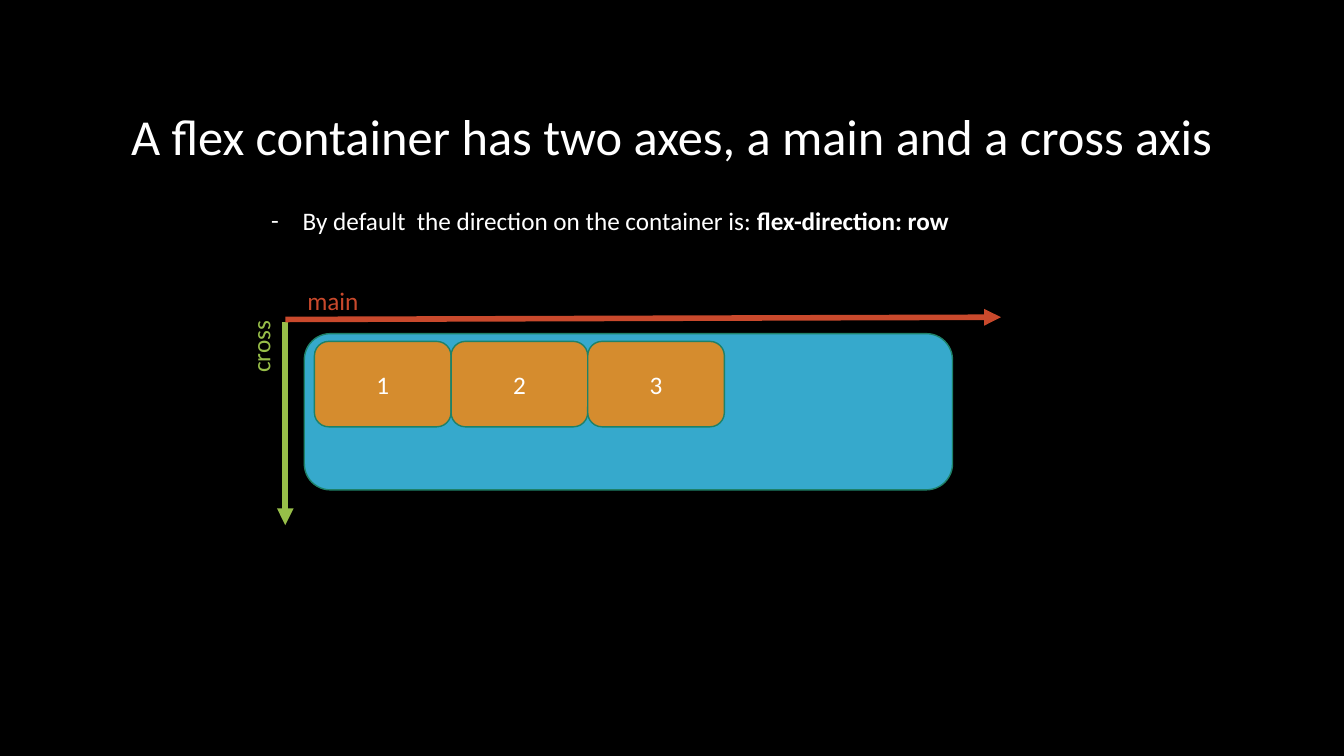
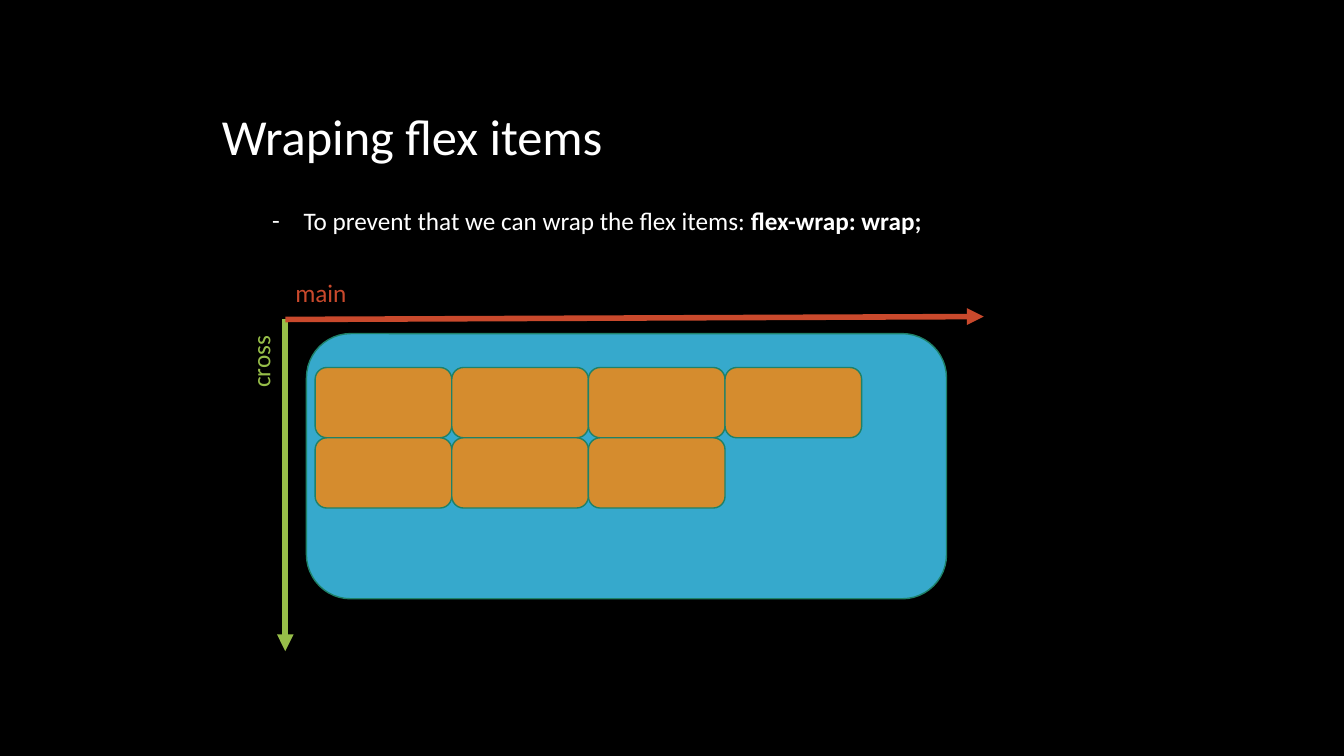
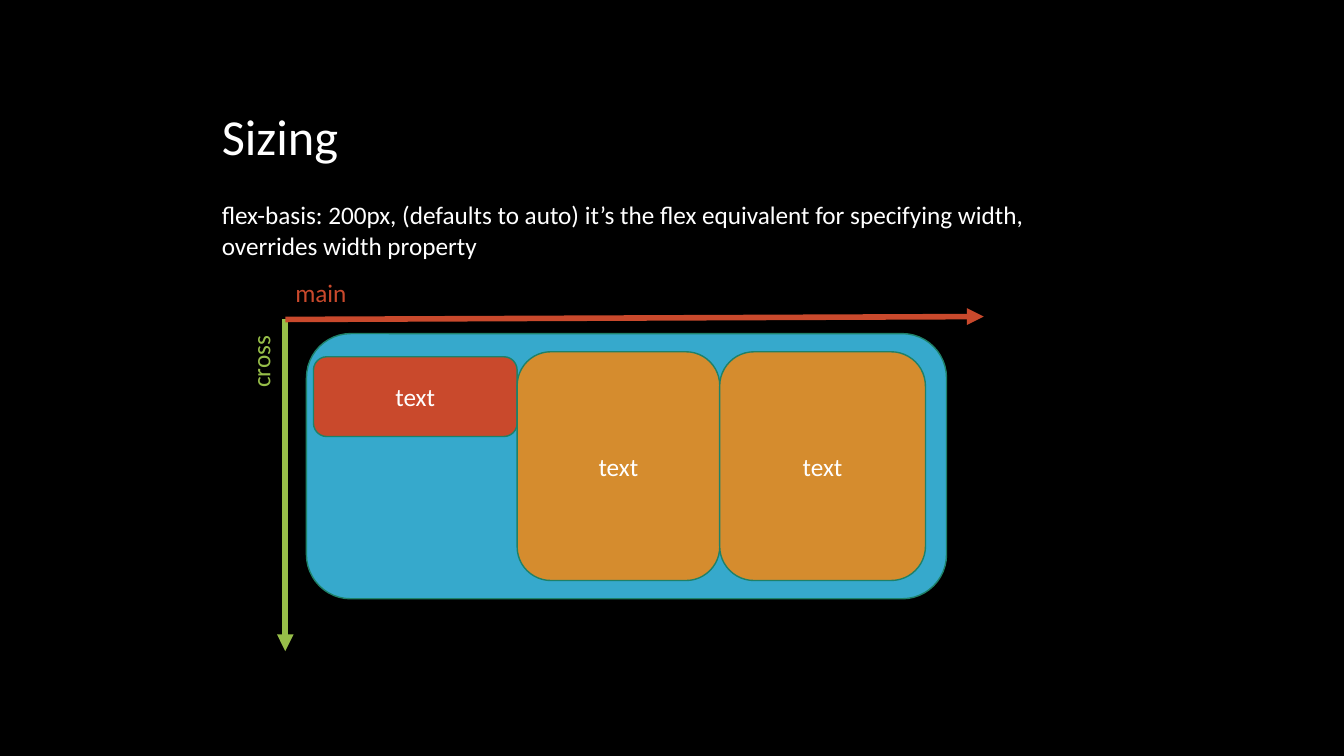
from lxml import etree
from pptx import Presentation
from pptx.dml.color import RGBColor
from pptx.enum import shapes, text
from pptx.oxml import ns
from pptx.util import Pt

FONT = "Calibri"
BLACK, WHITE = "000000", "FFFFFF"
BLUE, ORANGE, RED, GREEN, EDGE = "36A9CC", "D58C2E", "C9492C", "97BE49", "1E8168"
TITLE_SIZE, TEXT_SIZE = 36, 18
DASH_INDENT = 22.5
LABEL_WIDTH, LABEL_HEIGHT = 58.3, 29
ORIGIN_X, ORIGIN_Y = 203.8, 228.2
ITEM_WIDTH = 97.6
WIDE_BOX = (218.9, 238.3, 457.2, 189.4)
WIDE_AXES = {
    "main_end": (702.7, 226.1),
    "cross_start": ORIGIN_Y,
    "cross_end": 465.1,
    "main_label": (203.8, 194.4),
    "cross_label": (157, 240.5),
}


def color(value):
    return RGBColor.from_string(value)


def points(*values):
    return [Pt(value) for value in values]


def style_paragraph(paragraph, size, fill):
    for part in (paragraph, *paragraph.runs):
        part.font.name = FONT
        part.font.size = Pt(size)
        part.font.color.rgb = color(fill)


def place(shape, box):
    shape.left, shape.top, shape.width, shape.height = points(*box)
    frame = shape.text_frame
    frame.word_wrap = True
    frame.auto_size = text.MSO_AUTO_SIZE.NONE
    frame.vertical_anchor = text.MSO_ANCHOR.TOP


def set_bullet(paragraph, dashed):
    properties = paragraph._p.get_or_add_pPr()
    indent = Pt(DASH_INDENT if dashed else 0)
    properties.set("marL", str(indent))
    properties.set("indent", str(-indent))
    if dashed:
        etree.SubElement(properties, ns.qn("a:buFont")).set("typeface", FONT)
        etree.SubElement(properties, ns.qn("a:buChar")).set("char", "-")
    else:
        etree.SubElement(properties, ns.qn("a:buNone"))


def add_heading(slide, box, title):
    shape = slide.shapes.title
    place(shape, box)
    shape.text_frame.text = title
    paragraph = shape.text_frame.paragraphs[0]
    paragraph.alignment = text.PP_ALIGN.LEFT
    style_paragraph(paragraph, TITLE_SIZE, WHITE)


def add_body(slide, box, lines, dashed):
    shape = slide.placeholders[1]
    place(shape, box)
    frame = shape.text_frame
    for index, (plain, strong) in enumerate(lines):
        paragraph = frame.add_paragraph() if index else frame.paragraphs[0]
        paragraph.space_before = Pt(0)
        set_bullet(paragraph, dashed)
        paragraph.add_run().text = plain
        if strong:
            run = paragraph.add_run()
            run.text = strong
            run.font.bold = True
        style_paragraph(paragraph, TEXT_SIZE, WHITE)


def add_block(slide, box, fill, caption=""):
    block = slide.shapes.add_shape(shapes.MSO_SHAPE.ROUNDED_RECTANGLE, *points(*box))
    block.shadow.inherit = False
    block.fill.solid()
    block.fill.fore_color.rgb = color(fill)
    block.line.color.rgb = color(EDGE)
    block.line.width = Pt(1)
    if caption:
        block.text_frame.text = caption
        paragraph = block.text_frame.paragraphs[0]
        paragraph.alignment = text.PP_ALIGN.CENTER
        style_paragraph(paragraph, TEXT_SIZE, WHITE)


def add_arrow(slide, start, end, stroke):
    arrow = slide.shapes.add_connector(
        shapes.MSO_CONNECTOR.STRAIGHT, *points(*start, *end))
    arrow.line.color.rgb = color(stroke)
    arrow.line.width = Pt(4)
    properties = arrow._element.spPr
    line = properties.find(ns.qn("a:ln"))
    etree.SubElement(line, ns.qn("a:tailEnd")).set("type", "triangle")
    etree.SubElement(properties, ns.qn("a:effectLst"))


def add_label(slide, corner, caption, fill, rotation=0):
    box = (*corner, LABEL_WIDTH, LABEL_HEIGHT)
    label = slide.shapes.add_textbox(*points(*box))
    place(label, box)
    label.rotation = rotation
    label.text_frame.text = caption
    style_paragraph(label.text_frame.paragraphs[0], TEXT_SIZE, fill)


def add_axes(slide, main_end, cross_start, cross_end, main_label, cross_label):
    add_arrow(slide, (ORIGIN_X, cross_start), (ORIGIN_X, cross_end), GREEN)
    add_arrow(slide, (ORIGIN_X, ORIGIN_Y), main_end, RED)
    add_label(slide, main_label, "main", RED)
    add_label(slide, cross_label, "cross", GREEN, 270)


def add_container(slide, box, items):
    add_block(slide, box, BLUE)
    left, top = box[:2]
    for (x, y, width, height), fill, caption in items:
        add_block(slide, (left + x, top + y, width, height), fill, caption)


def flow_items(left, top, height, rows):
    return [
        ((left + column * ITEM_WIDTH, top + row * height, ITEM_WIDTH, height),
         ORANGE, caption)
        for row, captions in enumerate(rows)
        for column, caption in enumerate(captions)
    ]


def add_flex_slide(presentation, heading, body, container, axes):
    slide = presentation.slides.add_slide(presentation.slide_layouts[1])
    add_heading(slide, *heading)
    add_body(slide, *body)
    add_container(slide, *container)
    add_axes(slide, **axes)


def main():
    presentation = Presentation()
    presentation.slide_width, presentation.slide_height = points(960, 540)
    background = presentation.slide_master.background.fill
    background.solid()
    background.fore_color.rgb = color(BLACK)

    add_flex_slide(
        presentation,
        ((86.4, 71.3, 800, 51),
         "A flex container has two axes, a main and a cross axis"),
        ((186.5, 143.3, 594.7, 29),
         [("By default  the direction on the container is: ", "flex-direction: row")],
         True),
        ((217.4, 238.3, 463, 111.6), flow_items(7.2, 5.6, 61, ["123"])),
        {
            "main_end": (715, 226.6),
            "cross_start": 229.7,
            "cross_end": 375.1,
            "main_label": (212.4, 200.5),
            "cross_label": (157, 229.7),
        },
    )
    add_flex_slide(
        presentation,
        ((151.2, 71.3, 300, 51), "Wraping flex items"),
        ((187.2, 143.3, 594.7, 29),
         [("To prevent that we can wrap the flex items: ", "flex-wrap: wrap;")],
         True),
        (WIDE_BOX, flow_items(6.2, 24.2, 50.2, [[""] * 4, [""] * 3])),
        WIDE_AXES,
    )
    add_flex_slide(
        presentation,
        ((151.2, 71.3, 110, 51), "Sizing"),
        ((151.2, 139, 598.3, 51),
         [("flex-basis: 200px, (defaults to auto) it’s the flex equivalent "
           "for specifying width,", ""),
          ("overrides width property", "")],
         False),
        (WIDE_BOX, [
            ((5, 16.5, 145.5, 57), RED, "text"),
            ((150.5, 13, 144.7, 163.4), ORANGE, "text"),
            ((295.2, 13, 147, 163.4), ORANGE, "text"),
        ]),
        WIDE_AXES,
    )
    presentation.save("out.pptx")


if __name__ == "__main__":
    main()
